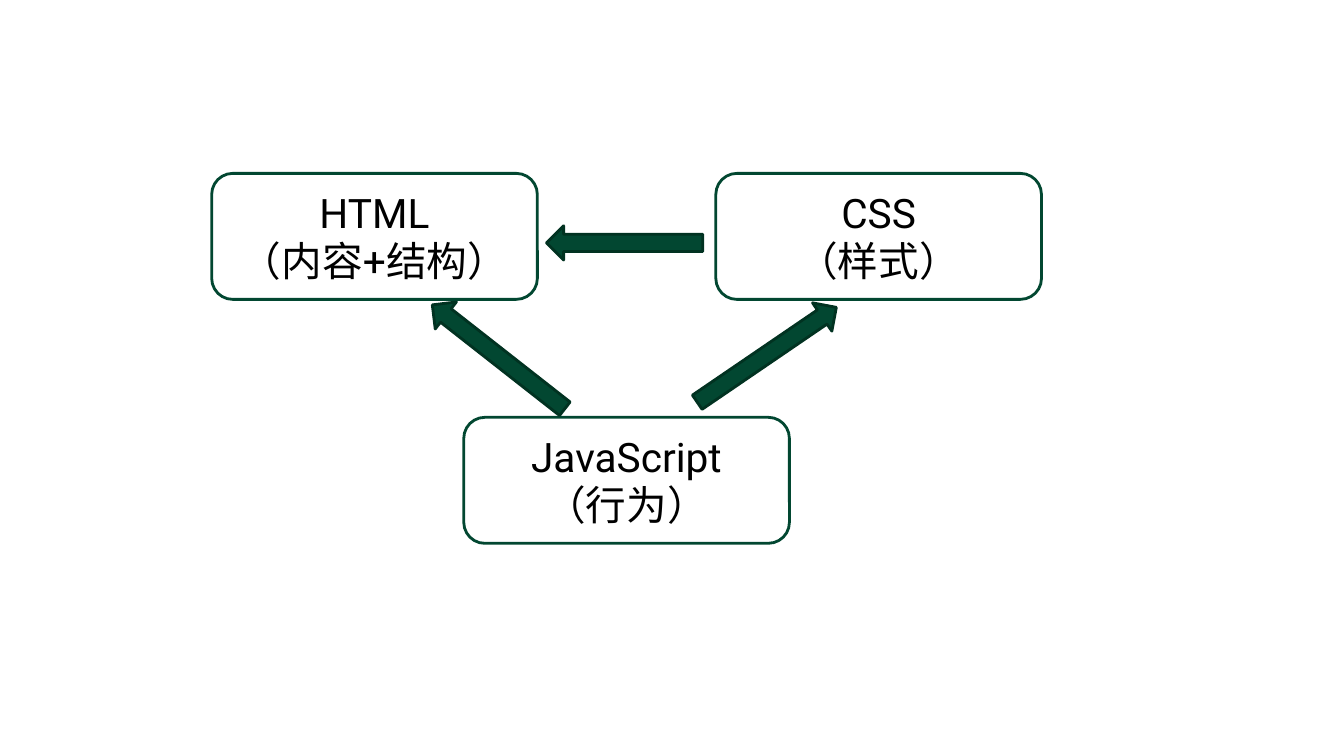
from pptx import Presentation
from pptx.dml.color import RGBColor
from pptx.enum.shapes import MSO_SHAPE as Preset
from pptx.enum.text import MSO_ANCHOR as Anchor, PP_ALIGN as Align
from pptx.util import Inches, Pt

COLOURS = {"white": "FFFFFF", "green": "024731", "dark green": "013221", "black": "000000"}
FONT = "Roboto"
BOX_WIDTH, BOX_HEIGHT = 3.23, 1.25
ARROW_HEIGHT = 0.34

# left, top, name, role
LANGUAGES = [
    (7.1, 1.72, "CSS", "（样式）"),
    (2.1, 1.72, "HTML", "（内容+结构）"),
    (4.6, 4.14, "JavaScript", "（行为）"),
]
# left, top, width, rotation
ARROWS = [
    (4.11, 3.37, 1.67, 38.1),
    (6.77, 3.35, 1.67, 145.7),
    (5.42, 2.24, 1.55, 0),
]


def colour(name):
    return RGBColor.from_string(COLOURS[name])


def add_filled_shape(slide, preset, box, fill, line):
    shape = slide.shapes.add_shape(preset, *(Inches(length) for length in box))
    shape.shadow.inherit = False
    shape.fill.solid()
    shape.fill.fore_color.rgb = colour(fill)
    shape.line.color.rgb = colour(line)
    shape.line.width = Pt(2)
    return shape


def add_language_box(slide, left, top, name, role):
    box = (left, top, BOX_WIDTH, BOX_HEIGHT)
    shape = add_filled_shape(slide, Preset.ROUNDED_RECTANGLE, box, "white", "green")
    frame = shape.text_frame
    frame.word_wrap = True
    frame.vertical_anchor = Anchor.MIDDLE
    frame.margin_left = frame.margin_right = Inches(0.12)
    frame.margin_top = frame.margin_bottom = Inches(0.06)
    frame.text = f"{name}\n{role}"
    for paragraph in frame.paragraphs:
        paragraph.alignment = Align.CENTER
        paragraph.font.name = FONT
        paragraph.font.size = Pt(29)
        paragraph.font.color.rgb = colour("black")


def add_arrow(slide, left, top, width, rotation):
    box = (left, top, width, ARROW_HEIGHT)
    shape = add_filled_shape(slide, Preset.LEFT_ARROW, box, "green", "dark green")
    shape.rotation = rotation


def add_diagram_slide(presentation):
    blank_layout = presentation.slide_layouts[6]
    slide = presentation.slides.add_slide(blank_layout)
    for language in LANGUAGES:
        add_language_box(slide, *language)
    for arrow in ARROWS:
        add_arrow(slide, *arrow)


def main():
    presentation = Presentation()
    presentation.slide_width = Inches(13.33)
    presentation.slide_height = Inches(7.5)
    add_diagram_slide(presentation)
    presentation.save("out.pptx")


if __name__ == "__main__":
    main()
